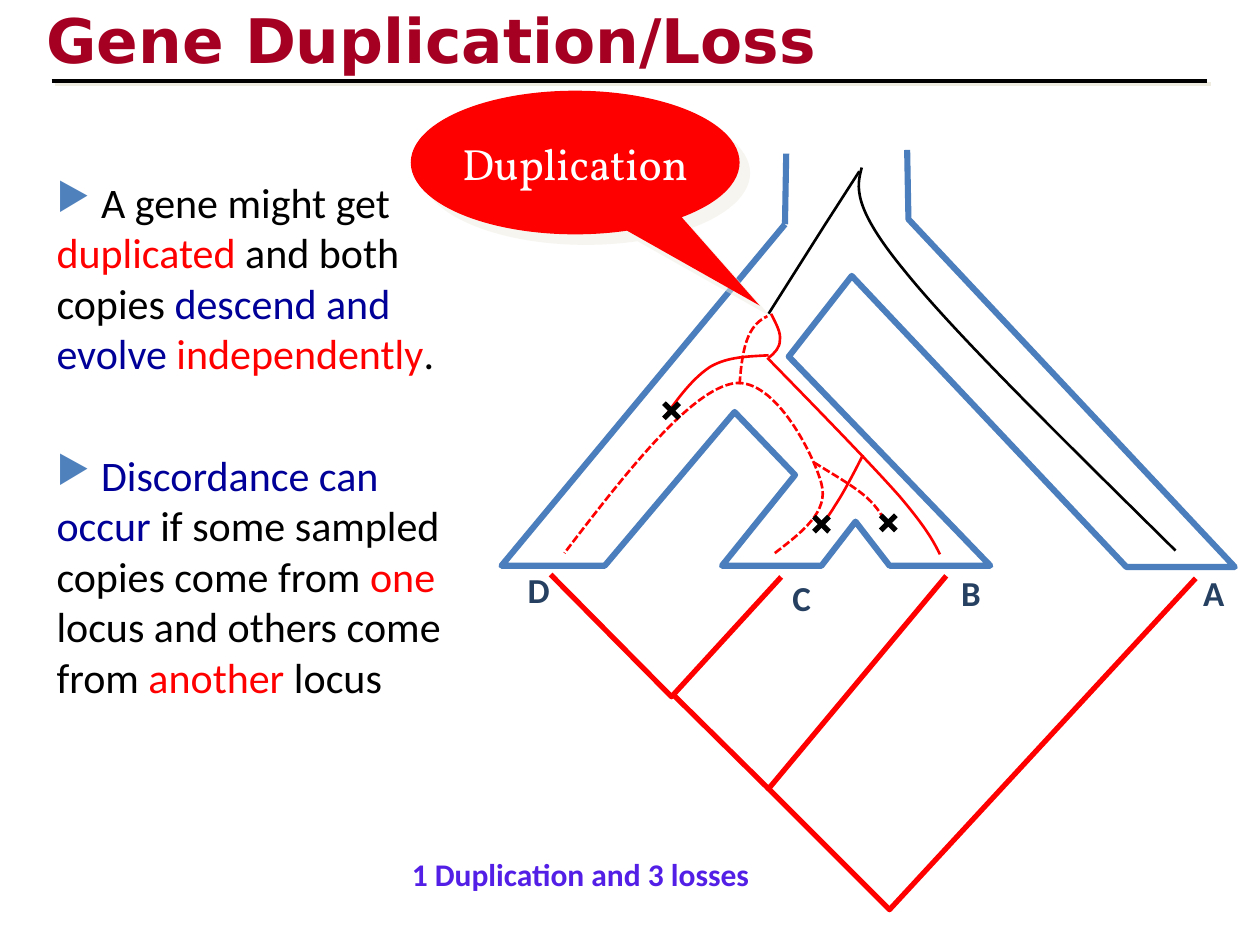
"""Build the slide on gene duplication and loss, with its species tree and gene trees."""
import pptx
import pptx.dml.color
import pptx.enum.dml
import pptx.enum.shapes
import pptx.enum.text
import pptx.oxml
import pptx.oxml.ns
import pptx.util
from dataclasses import dataclass
from lxml import etree


@dataclass(frozen=True)
class Theme:
    title_font: str = "DejaVu Sans"
    body_font: str = "Calibri"
    callout_font: str = "Vollkorn"
    title_size: float = 35.1
    callout_size: float = 25
    body_size: float = 24
    label_size: float = 20
    caption_size: float = 18
    title: str = "A50021"
    black: str = "000000"
    white: str = "FFFFFF"
    red: str = "FF0000"
    navy: str = "000099"
    species: str = "4B7EBC"
    bullet: str = "4F81BD"
    label: str = "254061"
    caption: str = "531FE7"
    shadow: str = "EEECE1"
    branch: float = 3.5
    tree: float = 3
    lineage: float = 1.5
    rule: float = 2.25


def length(inches):
    return pptx.util.Cm(inches * 2.54)


def rgb(color):
    return pptx.dml.color.RGBColor.from_string(color)


@dataclass
class SlideBuilder:
    theme: Theme
    slide: object

    def style_font(self, font, face, size, color, bold=False):
        font.name, font.size, font.bold = face, pptx.util.Pt(size), bold
        font.color.rgb = rgb(color)

    def style_line(self, line, color, weight):
        line.color.rgb = rgb(color)
        line.width = pptx.util.Pt(weight)

    def effects(self, parent, distance=0, opacity=100):
        effects = etree.SubElement(parent, pptx.oxml.ns.qn("a:effectLst"))
        if distance:
            effects.append(pptx.oxml.parse_xml(
                f'<a:outerShdw {pptx.oxml.ns.nsdecls("a")} blurRad="0" '
                f'dist="{pptx.util.Pt(distance)}" dir="2700000" algn="ctr" rotWithShape="0">'
                f'<a:srgbClr val="{self.theme.shadow}"><a:alpha val="{opacity * 1000}"/>'
                '</a:srgbClr></a:outerShdw>'))

    def title(self, wording, left, top, width, height):
        heading = self.slide.shapes.title
        heading.left, heading.top = length(left), length(top)
        heading.width, heading.height = length(width), length(height)
        frame = heading.text_frame
        frame.text = wording
        frame.vertical_anchor = pptx.enum.text.MSO_ANCHOR.MIDDLE
        paragraph = frame.paragraphs[0]
        paragraph.alignment = pptx.enum.text.PP_ALIGN.LEFT
        self.style_font(paragraph.font, self.theme.title_font, self.theme.title_size,
                        self.theme.title, True)
        self.effects(paragraph.runs[0]._r.get_or_add_rPr(), 2.8)

    def line(self, start, end, weight, shadow=0):
        rule = self.slide.shapes.add_connector(
            pptx.enum.shapes.MSO_CONNECTOR.STRAIGHT, *map(length, start + end))
        self.style_line(rule.line, self.theme.black, weight)
        self.effects(rule._element.spPr, shadow)

    def loss(self, x, y, reach=0.06):
        for slope in (reach, -reach):
            self.line((x - reach, y - slope), (x + reach, y + slope), self.theme.tree)

    def outline(self, points, color, weight):
        start, *rest = [tuple(map(length, point)) for point in points]
        builder = self.slide.shapes.build_freeform(*start)
        builder.add_line_segments(rest, close=False)
        shape = builder.convert_to_shape()
        shape.fill.background()
        shape.shadow.inherit = False
        self.style_line(shape.line, color, weight)
        return shape

    def curve(self, points, color, dashed=False):
        shape = self.outline(points, color, self.theme.lineage)
        if dashed:
            shape.line.dash_style = pptx.enum.dml.MSO_LINE.SQUARE_DOT
        segments = list(shape._element.iter(pptx.oxml.ns.qn("a:lnTo")))
        for first in range(0, len(segments), 3):
            bezier = etree.Element(pptx.oxml.ns.qn("a:cubicBezTo"))
            segments[first].addprevious(bezier)
            for segment in segments[first:first + 3]:
                bezier.append(segment[0])
                segment.getparent().remove(segment)

    def label(self, wording, left, top, width, height, size, color):
        frame = self.slide.shapes.add_textbox(
            *map(length, (left, top, width, height))).text_frame
        frame.word_wrap = False
        frame.text = wording
        self.style_font(frame.paragraphs[0].font, self.theme.body_font, size, color, True)

    def callout(self, wording, left, top, width, height, tip):
        balloon = self.slide.shapes.add_shape(
            pptx.enum.shapes.MSO_SHAPE.OVAL_CALLOUT, *map(length, (left, top, width, height)))
        balloon.adjustments[0], balloon.adjustments[1] = tip
        balloon.fill.solid()
        balloon.fill.fore_color.rgb = rgb(self.theme.red)
        balloon.line.fill.background()
        self.effects(balloon._element.spPr, 8.5, 50)
        frame = balloon.text_frame
        frame.word_wrap = False
        frame.text = wording
        paragraph = frame.paragraphs[0]
        paragraph.alignment = pptx.enum.text.PP_ALIGN.CENTER
        self.style_font(paragraph.font, self.theme.callout_font, self.theme.callout_size,
                        self.theme.white)

    def bullets(self, items, left, top, width, height):
        frame = self.slide.shapes.add_textbox(
            *map(length, (left, top, width, height))).text_frame
        frame.word_wrap = True
        for index, (gap, phrases) in enumerate(items):
            paragraph = frame.add_paragraph() if index else frame.paragraphs[0]
            paragraph.space_before = pptx.util.Pt(gap)
            properties = paragraph._p.get_or_add_pPr()
            for markup in (f'<a:buClr {{}}><a:srgbClr val="{self.theme.bullet}"/></a:buClr>',
                           '<a:buSzPct {} val="90000"/>', '<a:buChar {} char="▶"/>'):
                properties.append(pptx.oxml.parse_xml(
                    markup.format(pptx.oxml.ns.nsdecls("a"))))
            for wording, color in phrases:
                run = paragraph.add_run()
                run.text = wording
                self.style_font(run.font, self.theme.body_font, self.theme.body_size, color)


def main():
    theme = Theme()
    deck = pptx.Presentation()
    deck.slide_width, deck.slide_height = length(10), length(7.5)
    page = SlideBuilder(theme, deck.slides.add_slide(deck.slide_layouts[5]))
    black, red, navy = theme.black, theme.red, theme.navy

    page.title("Gene Duplication/Loss", 0.27, -0.03, 8.5, 0.67)
    page.line((0.41, 0.64), (9.58, 0.64), theme.rule, 2.8)

    species_tree = [
        [(6.23, 1.78), (3.98, 4.49), (4.8, 4.49), (5.83, 3.27), (6.31, 3.77), (5.73, 4.49),
         (6.52, 4.49), (6.79, 4.14), (7.06, 4.49), (7.86, 4.49), (6.26, 2.83), (6.76, 2.19),
         (8.94, 4.5), (9.8, 4.5), (7.21, 1.74), (7.2, 1.19)],
        [(6.23, 1.78), (6.24, 1.22)]]
    for wall in species_tree:
        page.outline(wall, theme.species, theme.branch)
    gene_tree = [[(4.37, 4.56), (5.33, 5.53), (6.2, 4.58)],
                 [(5.34, 5.51), (6.1, 6.26), (7.51, 4.57)],
                 [(6.09, 6.25), (7.06, 7.22), (9.49, 4.59)]]
    for clade in gene_tree:
        page.outline(clade, red, theme.tree)
    for name, left, top in (("D", 4.09, 4.46), ("C", 6.19, 4.53),
                            ("B", 7.53, 4.49), ("A", 9.45, 4.49)):
        page.label(name, left, top, 0.34, 0.44, theme.label_size, theme.label)

    second_copy = [
        [(6.15, 4.39), (6.37, 4.22), (6.58, 4.06), (6.52, 3.84), (6.46, 3.61), (6.13, 2.95),
         (5.79, 3.05), (5.45, 3.14), (4.96, 3.76), (4.48, 4.39)],
        [(6.46, 3.67), (6.62, 3.77), (6.78, 3.86), (6.88, 3.95), (6.97, 4.03), (7.01, 4.11),
         (7.05, 4.18)],
        [(5.87, 3.05), (5.88, 2.9), (5.9, 2.76), (5.94, 2.67), (5.98, 2.58), (6.03, 2.54),
         (6.09, 2.51)]]
    first_copy = [
        [(6.1, 2.82), (5.94, 2.83), (5.78, 2.83), (5.64, 2.91), (5.5, 3), (5.38, 3.16),
         (5.27, 3.32)],
        [(6.09, 2.84), (6.5, 3.26), (6.91, 3.68), (7.14, 3.94), (7.36, 4.2), (7.41, 4.3),
         (7.46, 4.4)],
        [(6.1, 2.84), (6.15, 2.8), (6.19, 2.76), (6.19, 2.7), (6.2, 2.64), (6.16, 2.57),
         (6.12, 2.49)],
        [(6.85, 3.61), (6.77, 3.77), (6.69, 3.92), (6.63, 4.01), (6.57, 4.11), (6.54, 4.14),
         (6.51, 4.17)]]
    for lineage in second_copy:
        page.curve(lineage, red, dashed=True)
    for lineage in first_copy:
        page.curve(lineage, red)
    page.curve([(9.33, 4.37), (8.46, 3.51), (7.59, 2.66), (7.18, 2.15), (6.76, 1.64),
                (6.8, 1.48), (6.84, 1.33)], black)
    page.outline([(6.1, 2.49), (6.55, 1.78), (6.82, 1.36)], black, theme.lineage)
    for x, y in ((7.05, 4.15), (5.33, 3.26), (6.52, 4.16)):
        page.loss(x, y)

    page.callout("Duplication", 3.26, 0.72, 2.61, 1.14, (0.561, 0.996))
    page.label("1 Duplication and 3 losses", 3.17, 6.74, 2.97, 0.4,
               theme.caption_size, theme.caption)
    page.bullets([
        (6, [(" A gene might get ", black), ("duplicated", red), (" and both copies ", black),
             ("descend and evolve ", navy), ("independently", red), (".", black)]),
        (41, [(" Discordance can occur ", navy), ("if some sampled copies come from ", black),
              ("one", red), (" locus and others come from ", black), ("another", red),
              (" locus", black)])], 0.35, 1.35, 3.31, 5.2)
    deck.save("out.pptx")


if __name__ == "__main__":
    main()
